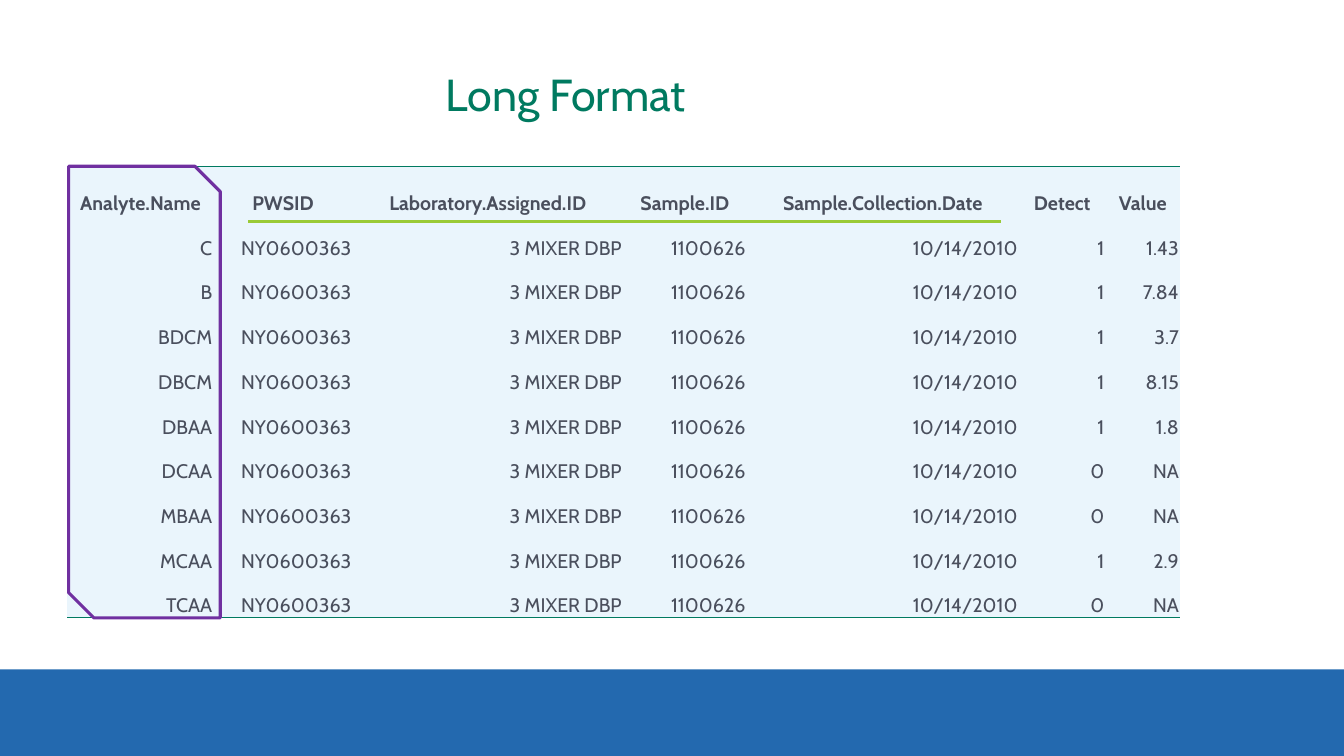
from lxml.etree import SubElement
from pptx import Presentation
from pptx.dml.color import RGBColor as Rgb
from pptx.enum.shapes import MSO_CONNECTOR as Connector, MSO_SHAPE as Preset
from pptx.enum.text import MSO_ANCHOR as Anchor, PP_ALIGN as Align
from pptx.oxml import parse_xml
from pptx.oxml.ns import nsdecls, qn
from pptx.util import Cm, Pt

COLORS = {
    "green": "007A60",
    "text": "4A4F5D",
    "cell": "EAF5FC",
    "band": "2369AF",
    "purple": "7030A0",
    "lime": "9ACA36",
}
FONT = "Cabin"
NO_STYLE = "{2D5ABB26-0587-4C30-8999-92F81FD0307C}"
SLIDE_WIDTH, SLIDE_HEIGHT = 33.87, 19.05
BAND_TOP = 16.87
TABLE_LEFT, TABLE_TOP, TABLE_HEIGHT = 1.7, 4.19, 11.38
HEADER_HEIGHT = 1.24

COLUMNS = {
    "Analyte.Name": 3.68,
    "PWSID": 3.51,
    "Laboratory.Assigned.ID": 6.81,
    "Sample.ID": 3.12,
    "Sample.Collection.Date": 6.86,
    "Detect": 2.18,
    "Value": 1.88,
}
SAMPLE = ("NY0600363", "3 MIXER DBP", "1100626", "10/14/2010")
RESULTS = [
    ("C", "1", "1.43"),
    ("B", "1", "7.84"),
    ("BDCM", "1", "3.7"),
    ("DBCM", "1", "8.15"),
    ("DBAA", "1", "1.8"),
    ("DCAA", "0", "NA"),
    ("MBAA", "0", "NA"),
    ("MCAA", "1", "2.9"),
    ("TCAA", "0", "NA"),
]


def rgb(color):
    """Return the named colour as an RGB value."""
    return Rgb.from_string(COLORS[color])


def apply_format(target, values):
    """Set each attribute of target from a dict."""
    for attribute, value in values.items():
        setattr(target, attribute, value)


def write_text(frame, text, align, color, **font):
    """Write one formatted paragraph into a text frame."""
    frame.text = text
    paragraph = frame.paragraphs[0]
    paragraph.alignment = align
    run_font = paragraph.runs[0].font
    apply_format(run_font, {"name": FONT, **font})
    run_font.color.rgb = rgb(color)


def add_title(slide, text):
    """Place and format the title placeholder."""
    title = slide.shapes.title
    apply_format(title, {"left": Cm(1.7), "top": Cm(0.76),
                         "width": Cm(25.12), "height": Cm(3.18)})
    title.text_frame.vertical_anchor = Anchor.MIDDLE
    write_text(title.text_frame, text, Align.CENTER, "green", size=Pt(32))


def add_box(slide, preset, box, fill=None, line=None):
    """Add a preset shape with an optional fill and outline."""
    shape = slide.shapes.add_shape(preset, *map(Cm, box))
    shape.shadow.inherit = False
    for part, color in ((shape.fill, fill), (shape.line.fill, line)):
        if color:
            part.solid()
            part.fore_color.rgb = rgb(color)
        else:
            part.background()
    if line:
        shape.line.width = Pt(2.25)


def add_rule(slide, left, right, y, color):
    """Add a horizontal line."""
    rule = slide.shapes.add_connector(
        Connector.STRAIGHT, Cm(left), Cm(y), Cm(right), Cm(y))
    rule.line.width = Pt(2.25)
    rule.line.color.rgb = rgb(color)
    SubElement(rule._element.spPr, qn("a:effectLst"))


def add_border(cell, side, color):
    """Draw a 1 pt border on one side of a cell."""
    border = parse_xml(
        f'<a:{side} {nsdecls("a")} w="{Pt(1)}"><a:solidFill>'
        f'<a:srgbClr val="{COLORS[color]}"/></a:solidFill></a:{side}>')
    cell._tc.get_or_add_tcPr().insert(0, border)


def format_cell(cell, text, is_header):
    """Fill a cell and write its text."""
    apply_format(cell, {
        "vertical_anchor": Anchor.BOTTOM,
        "margin_left": Cm(0.03),
        "margin_right": Cm(0.03),
        "margin_top": Cm(0.03),
        "margin_bottom": 0,
    })
    cell.fill.solid()
    cell.fill.fore_color.rgb = rgb("cell")
    align = Align.CENTER if is_header else Align.RIGHT
    write_text(cell.text_frame, text, align, "text", size=Pt(14), bold=is_header)


def add_results_table(slide):
    """Add the table with one row per analyte."""
    rows = [tuple(COLUMNS)]
    rows += [(analyte, *SAMPLE, detect, value) for analyte, detect, value in RESULTS]
    table = slide.shapes.add_table(
        len(rows), len(COLUMNS), Cm(TABLE_LEFT), Cm(TABLE_TOP),
        Cm(sum(COLUMNS.values())), Cm(TABLE_HEIGHT)).table
    apply_format(table, {"first_row": False, "horz_banding": False})
    table._tbl.tblPr.find(qn("a:tableStyleId")).text = NO_STYLE

    for column, width in zip(table.columns, COLUMNS.values()):
        column.width = Cm(width)
    result_height = (TABLE_HEIGHT - HEADER_HEIGHT) / len(RESULTS)
    for index, texts in enumerate(rows):
        table.rows[index].height = Cm(result_height if index else HEADER_HEIGHT)
        for cell, text in zip(table.rows[index].cells, texts):
            format_cell(cell, text, is_header=index == 0)
    for cell in table.rows[0].cells:
        add_border(cell, "lnT", "green")
    for cell in table.rows[len(rows) - 1].cells:
        add_border(cell, "lnB", "green")


def main():
    """Build and save the slide."""
    deck = Presentation()
    apply_format(deck, {"slide_width": Cm(SLIDE_WIDTH),
                        "slide_height": Cm(SLIDE_HEIGHT)})
    slide = deck.slides.add_slide(deck.slide_layouts[5])
    add_box(slide, Preset.RECTANGLE,
            (0, BAND_TOP, SLIDE_WIDTH, SLIDE_HEIGHT - BAND_TOP), fill="band")
    add_title(slide, "Long Format")
    add_results_table(slide)
    add_box(slide, Preset.SNIP_2_DIAG_RECTANGLE,
            (1.73, TABLE_TOP, 3.82, TABLE_HEIGHT), line="purple")
    add_rule(slide, 6.25, 25.22, 5.59, "lime")
    deck.save("out.pptx")


main()
